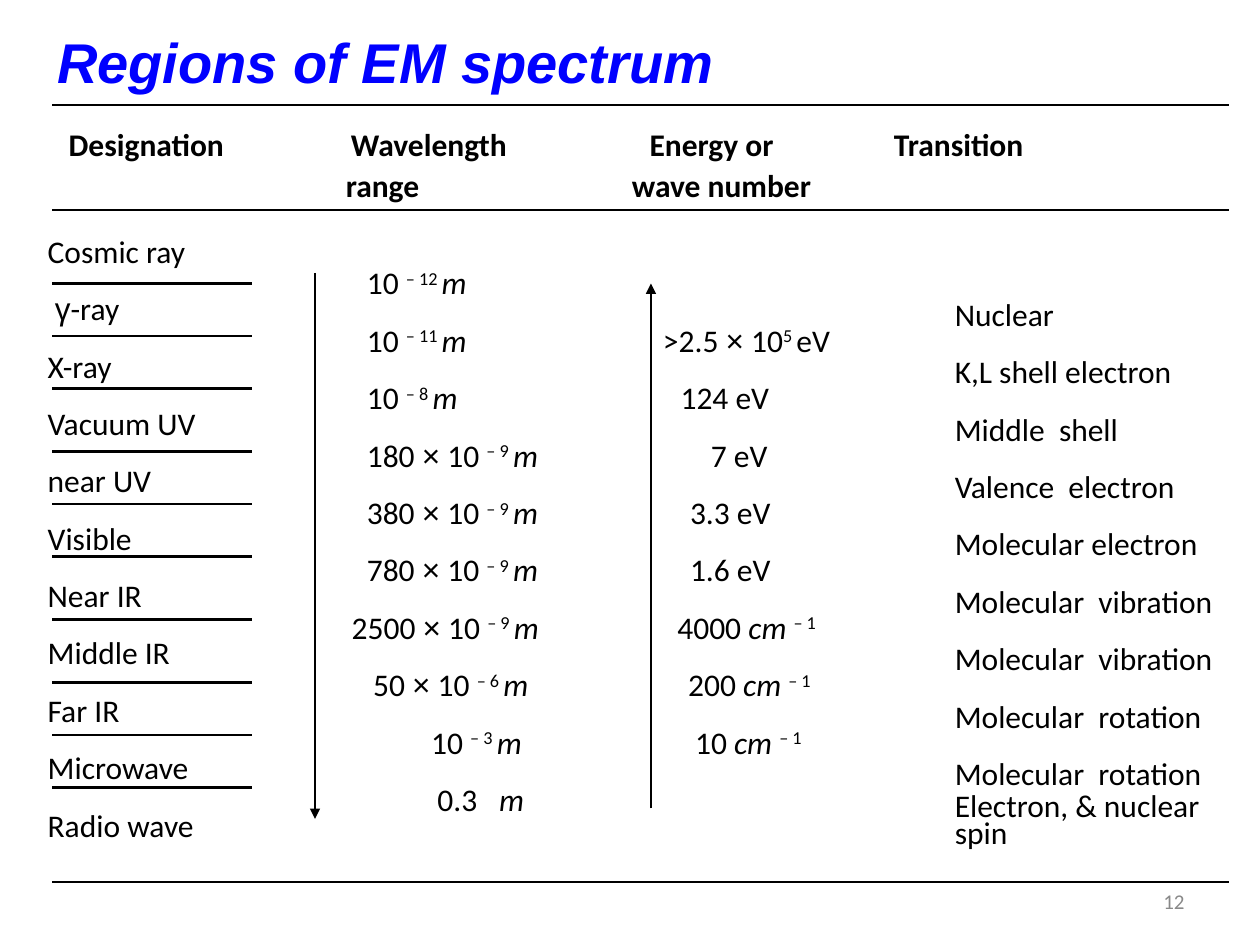
import itertools

import pptx
import pptx.dml.color
import pptx.enum.shapes
import pptx.enum.text
import pptx.oxml
import pptx.oxml.ns
import pptx.util

COLUMNS, ROWS = 120, 90
CELL = pptx.util.Inches(10) // COLUMNS
ROW_GAP = 11.2

DESIGNATIONS = ["Cosmic ray", "γ-ray", "X-ray", "Vacuum UV", "near UV", "Visible",
                "Near IR", "Middle IR", "Far IR", "Microwave", "Radio wave"]
DESIGNATION_RULES = [27, 32, 37, 43, 48, 53, 59, 65, 70, 75]
LIMITS = [
    ("\t10 ^– 12 ^_m_", [2.76]),
    ("\t10 ^– 11 ^_m_\t>2.5 × 10^5 ^eV", [2.76, 30.96]),
    ("\t10 ^– 8 ^_m_\t124 eV", [2.76, 32.64]),
    ("\t180 × 10 ^– 9 ^_m_\t7 eV", [2.76, 35.52]),
    ("\t380 × 10 ^– 9 ^_m_\t3.3 eV", [2.76, 33.54]),
    ("\t780 × 10 ^– 9 ^_m_\t1.6 eV", [2.76, 33.54]),
    ("\t2500 × 10 ^– 9 ^_m_\t4000 _cm _^– 1^", [1.32, 32.34]),
    ("\t50 × 10 ^– 6 ^_m_\t200 _cm _^– 1^", [3.36, 33.36]),
    ("\t10 ^– 3 ^_m_\t10 _cm _^– 1^", [8.88, 34.02]),
    ("\t0.3\t_m_", [9.48, 15.36]),
]
TRANSITIONS = ["Nuclear", "K,L shell electron", "Middle  shell", "Valence  electron",
               "Molecular electron", "Molecular  vibration", "Molecular  vibration",
               "Molecular  rotation", "Molecular  rotation"]
SPIN_LINES = ["Electron, & nuclear", "spin"]


def color(value):
    """Turn a hex string into a colour."""
    return pptx.dml.color.RGBColor.from_string(value)


def cells(count):
    """Turn a number of grid cells into a length."""
    return pptx.util.Emu(round(count * CELL))


def add_box(page, left, top, width, height):
    """Add an empty wrapping text box given in grid cells and return its frame."""
    frame = page.shapes.add_textbox(*map(cells, (left, top, width, height))).text_frame
    frame.word_wrap = True
    return frame


def split_spans(text):
    """Split text where ^ toggles superscript, _ toggles italic and symbols need Arial."""
    raised = slanted = False
    marked = []
    for letter in text:
        if letter == "^":
            raised = not raised
        elif letter == "_":
            slanted = not slanted
        else:
            marked.append((letter, (raised, slanted, letter in "×γ")))
    for style, group in itertools.groupby(marked, key=lambda item: item[1]):
        yield "".join(letter for letter, _ in group), style


def write(frame, text, size=18, font="Calibri", ink="000000", bold=False, italic=False,
          align=None, indent=0, tabs=(), line=None, before=ROW_GAP):
    """Write one formatted paragraph into a frame."""
    first = not frame.paragraphs[0].runs
    para = frame.paragraphs[0] if first else frame.add_paragraph()
    properties = para._p.get_or_add_pPr()
    if indent:
        properties.set("marL", str(cells(indent)))
        properties.set("indent", "0")
    if tabs:
        stops = pptx.oxml.parse_xml(f"<a:tabLst {pptx.oxml.ns.nsdecls('a')}/>")
        for stop in tabs:
            tab = stops.makeelement(pptx.oxml.ns.qn("a:tab"), {"pos": str(cells(stop)), "algn": "l"})
            stops.append(tab)
        properties.append(stops)
    if align is not None:
        para.alignment = align
    if line:
        para.line_spacing = line
    if not first:
        para.space_before = pptx.util.Pt(before)
    for words, (raised, slanted, symbol) in split_spans(text):
        span = para.add_run()
        span.text = words
        span.font.size = pptx.util.Pt(size)
        span.font.name = "Arial" if symbol else font
        span.font.bold = bold
        span.font.italic = italic or slanted
        span.font.color.rgb = color(ink)
        if raised:
            span.font._element.set("baseline", "30000")


def add_line(page, start, end, weight=1.5, arrow=False):
    """Draw a black line between two grid points, with an optional arrowhead."""
    line = page.shapes.add_connector(
        pptx.enum.shapes.MSO_CONNECTOR.STRAIGHT, *map(cells, start + end))
    line.line.color.rgb = color("000000")
    line.line.width = pptx.util.Pt(weight)
    namespace = pptx.oxml.ns.nsdecls("a")
    if arrow:
        line.line._get_or_add_ln().append(
            pptx.oxml.parse_xml(f'<a:tailEnd {namespace} type="triangle"/>'))
    line._element.spPr.append(pptx.oxml.parse_xml(f"<a:effectLst {namespace}/>"))


def add_heading(page, left, top, width, height):
    """Write the title and the two lines of column headings."""
    frame = add_box(page, left, top, width, height)
    write(frame, "Regions of EM spectrum", size=32, font="Arial", ink="0000FF",
          bold=True, italic=True, indent=2.26)
    write(frame, "\tDesignation\tWavelength\tEnergy or\tTransition", bold=True,
          tabs=[3.36, 30.24, 58.68, 81.96], line=1.3)
    write(frame, "\trange\twave number", bold=True, tabs=[29.76, 57], line=0.5)


def add_designations(page, left, top, width, height):
    """List the spectral regions with a rule between each pair."""
    frame = add_box(page, left, top, width, height)
    for name in DESIGNATIONS:
        write(frame, name, indent=0.68 if "γ" in name else 0)
    for row in DESIGNATION_RULES:
        add_line(page, (5, row), (24, row))


def add_limits(page, left, top, width, height):
    """List wavelength and energy limits beside their direction arrows."""
    frame = add_box(page, left, top, width, height)
    for text, tabs in LIMITS:
        write(frame, text, tabs=tabs)
    add_line(page, (30, 26), (30, 78), weight=0.75, arrow=True)
    add_line(page, (62, 77), (62, 27), weight=0.75, arrow=True)


def add_transitions(page, left, top, width, height):
    """List the transitions, the last one set tightly over two extra lines."""
    frame = add_box(page, left, top, width, height)
    for name in TRANSITIONS:
        write(frame, name)
    for name in SPIN_LINES:
        write(frame, name, line=0.2)


def add_page_number(page, left, top, width, height):
    """Write the page number at the lower right."""
    frame = add_box(page, left, top, width, height)
    frame.vertical_anchor = pptx.enum.text.MSO_ANCHOR.MIDDLE
    write(frame, "12", size=12, ink="898989", align=pptx.enum.text.PP_ALIGN.RIGHT)


def main():
    """Build the slide and save it."""
    deck = pptx.Presentation()
    deck.slide_width, deck.slide_height = cells(COLUMNS), cells(ROWS)
    page = deck.slides.add_slide(deck.slide_layouts[6])
    add_heading(page, 2, 2, 112, 17.9)
    add_designations(page, 3.36, 21.48, 24.6, 59.5)
    add_limits(page, 31, 24.5, 59, 54.1)
    add_transitions(page, 89.75, 27.5, 28.5, 53.1)
    for row in (10, 20, 84):
        add_line(page, (5, row), (117, row))
    add_page_number(page, 86, 83.4, 28, 4.8)
    deck.save("out.pptx")


if __name__ == "__main__":
    main()
